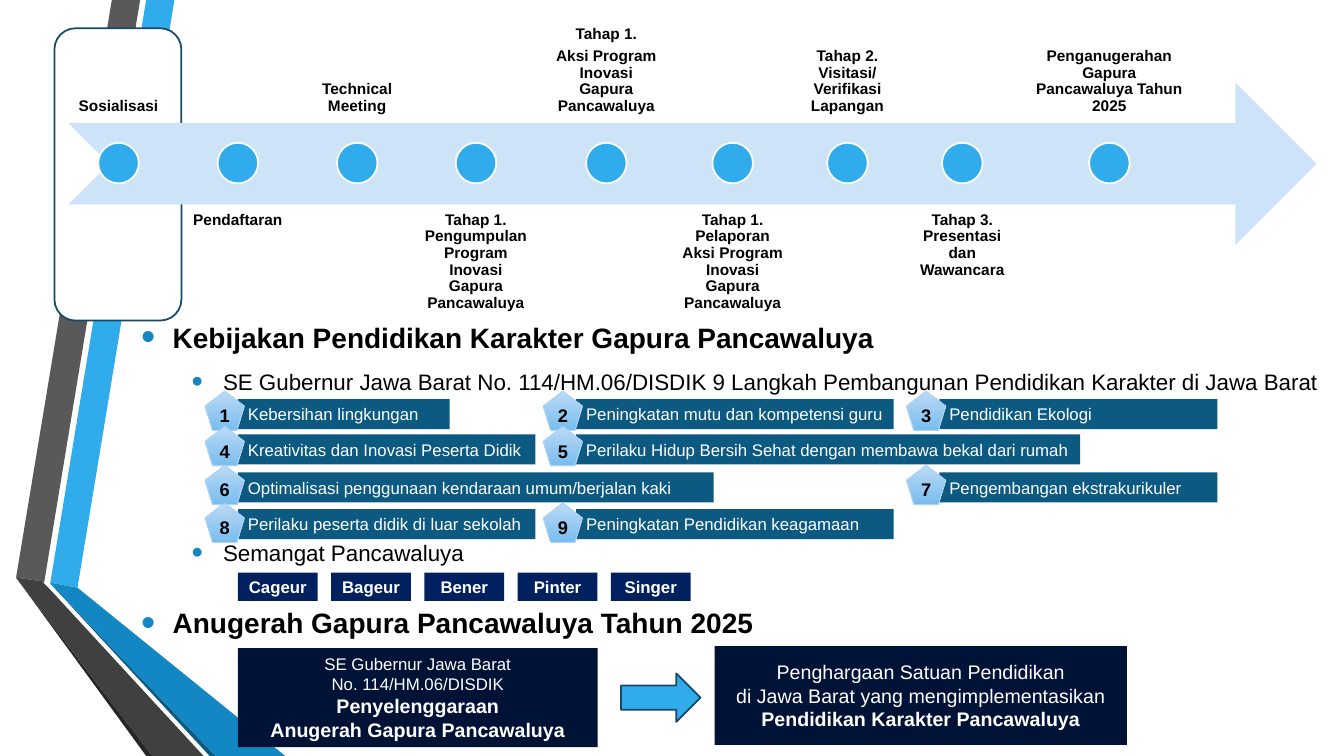
from lxml import etree
from pptx import Presentation
from pptx.dml.color import RGBColor
from pptx.enum import shapes, text
from pptx.oxml import ns
from pptx.util import Pt

FONT = "Arial"
WHITE = RGBColor(0xFF, 0xFF, 0xFF)
BLACK = RGBColor(0, 0, 0)
SKY = RGBColor(0x30, 0xAC, 0xEC)
BLUE = RGBColor(0x12, 0x87, 0xC3)
TEAL = RGBColor(0x0C, 0x5A, 0x82)
OUTLINE = RGBColor(0x15, 0x4B, 0x67)
PALE = RGBColor(0xCD, 0xE3, 0xF8)
NAVY = RGBColor(0x00, 0x20, 0x60)
MIDNIGHT = RGBColor(0x00, 0x12, 0x36)
BADGE_TOP = RGBColor(0xBC, 0xDA, 0xF6)
BADGE_BOTTOM = RGBColor(0x78, 0xBD, 0xEF)
BADGE_EDGE = RGBColor(0xAE, 0xD2, 0xF4)
GRAY = RGBColor(0x59, 0x59, 0x59)
DARK_GRAY = RGBColor(0x40, 0x40, 0x40)
CHARCOAL = RGBColor(0x26, 0x26, 0x26)

KIND = shapes.MSO_SHAPE
LEFT, CENTER = text.PP_ALIGN.LEFT, text.PP_ALIGN.CENTER
MIDDLE = text.MSO_ANCHOR.MIDDLE

RIBBONS = [
    (SKY, [(36, 416.2), (55.4, 419.8), (124.6, 0), (104.4, 0)]),
    (GRAY, [(100.1, 0), (79.9, 0), (11.5, 412.6), (31.7, 415.4)]),
    (CHARCOAL, [(11.5, 412.6), (104.4, 540), (108.7, 540)]),
    (TEAL, [(36, 416.9), (149.8, 540), (154.1, 540)]),
    (BLUE, [(36, 416.9), (154.1, 540), (203.8, 540), (55.4, 419.8), (36, 416.2)]),
    (DARK_GRAY, [(145.4, 540), (34.6, 419.8), (31, 416.2), (31.7, 415.4),
                 (11.5, 412.6), (108.7, 540)]),
]
# label width, label paragraphs
MILESTONES = [
    (71.3, ["Sosialisasi"]),
    (92.2, ["Pendaftaran"]),
    (71.3, ["Technical Meeting"]),
    (91.4, ["Tahap 1. Pengumpulan Program Inovasi Gapura Pancawaluya"]),
    (87.8, ["Tahap 1.", "Aksi Program Inovasi Gapura Pancawaluya"]),
    (85.7, ["Tahap 1. Pelaporan Aksi Program Inovasi Gapura Pancawaluya"]),
    (71.3, ["Tahap 2. Visitasi/ Verifikasi Lapangan"]),
    (85.7, ["Tahap 3. Presentasi dan Wawancara"]),
    (117.4, ["Penganugerahan Gapura Pancawaluya Tahun 2025"]),
]
# text, level, space before
POLICIES = [
    ("Kebijakan Pendidikan Karakter Gapura Pancawaluya", 0, 0),
    ("SE Gubernur Jawa Barat No. 114/HM.06/DISDIK 9 Langkah Pembangunan "
     "Pendidikan Karakter di Jawa Barat", 1, 10),
    ("Semangat Pancawaluya", 1, 103.4),
    ("Anugerah Gapura Pancawaluya Tahun 2025", 0, 28.4),
]
COLUMNS = [170, 411.5, 671]
ROWS = [(285.1, 279.4), (310.3, 304.6), (337.4, 332.4), (363.6, 359.3)]  # bar, badge
# column, row, bar width, text
STEPS = [
    (0, 0, 151.2, "Kebersihan lingkungan"),
    (1, 0, 226.8, "Peningkatan mutu dan kompetensi guru"),
    (2, 0, 198.7, "Pendidikan Ekologi"),
    (0, 1, 212.4, "Kreativitas dan Inovasi Peserta Didik"),
    (1, 1, 360, "Perilaku Hidup Bersih Sehat dengan membawa bekal dari rumah"),
    (0, 2, 339.8, "Optimalisasi penggunaan kendaraan umum/berjalan kaki"),
    (2, 2, 198.7, "Pengembangan ekstrakurikuler"),
    (0, 3, 212.4, "Perilaku peserta didik di luar sekolah"),
    (1, 3, 226.8, "Peningkatan Pendidikan keagamaan"),
]
VALUES = ["Cageur", "Bageur", "Bener", "Pinter", "Singer"]
# text, size, bold
DECREE = [
    ("SE Gubernur Jawa Barat", 12, False),
    ("No. 114/HM.06/DISDIK", 12, False),
    ("Penyelenggaraan", 14, True),
    ("Anugerah Gapura Pancawaluya", 14, True),
]
AWARD = [
    ("Penghargaan Satuan Pendidikan", 14, False),
    ("di Jawa Barat yang mengimplementasikan", 14, False),
    ("Pendidikan Karakter Pancawaluya", 14, True),
]


def style_paragraph(para, size, bold, color, align):
    para.alignment = align
    para.font.name, para.font.size = FONT, Pt(size)
    para.font.bold, para.font.color.rgb = bold, color


def paint(shape, fill, edge=None, width=1.25):
    shape.shadow.inherit = False
    shape.fill.solid()
    shape.fill.fore_color.rgb = fill
    if edge is None:
        shape.line.fill.background()
    else:
        shape.line.color.rgb, shape.line.width = edge, Pt(width)


def add_block(page, kind, area, fill, edge=None, width=1.25):
    shape = page.shapes.add_shape(kind, *map(Pt, area))
    paint(shape, fill, edge, width)
    return shape


def write_lines(shape, lines, color=WHITE, align=CENTER, insets=(0, 0, 0, 0), anchor=MIDDLE):
    """Fill a shape with one paragraph per (text, size, bold) line."""
    frame = shape.text_frame
    frame.word_wrap, frame.vertical_anchor = True, anchor
    (frame.margin_left, frame.margin_top,
     frame.margin_right, frame.margin_bottom) = map(Pt, insets)
    for index, (words, size, bold) in enumerate(lines):
        para = frame.add_paragraph() if index else frame.paragraphs[0]
        para.text = words
        style_paragraph(para, size, bold, color, align)
    return frame


def add_ribbon(page, color, points):
    (x, y), *rest = [(Pt(a), Pt(b)) for a, b in points]
    builder = page.shapes.build_freeform(x, y)
    builder.add_line_segments(rest)
    paint(builder.convert_to_shape(), color)


def add_timeline(page):
    add_block(page, KIND.NOTCHED_RIGHT_ARROW, (49, 59, 891.4, 116), PALE)
    left, gap, dot = 49, 3.5, 29
    for index, (width, labels) in enumerate(MILESTONES):
        above = index % 2 == 0
        area = (left, -28 if above else 145.4, width, 116)
        box = page.shapes.add_textbox(*map(Pt, area))
        anchor = text.MSO_ANCHOR.BOTTOM if above else text.MSO_ANCHOR.TOP
        frame = write_lines(box, [(label, 11, True) for label in labels], BLACK,
                            insets=(6, 6, 6, 6), anchor=anchor)
        for para in frame.paragraphs:
            para.line_spacing = 0.9
        for para in frame.paragraphs[1:]:
            para.space_before = Pt(4)
        add_block(page, KIND.OVAL, (left + (width - dot) / 2, 102, dot, dot), SKY, WHITE)
        left += width + gap


def add_bullet(para, margin):
    properties = para._p.get_or_add_pPr()
    properties.set("marL", str(Pt(margin)))
    properties.set("indent", str(Pt(-22.5)))
    color = etree.SubElement(properties, ns.qn("a:buClr"))
    etree.SubElement(color, ns.qn("a:srgbClr"), val=str(BLUE))
    etree.SubElement(properties, ns.qn("a:buSzPct"), val="145000")
    etree.SubElement(properties, ns.qn("a:buFont"), typeface=FONT)
    etree.SubElement(properties, ns.qn("a:buChar"), char="•")


def fill_policies(body):
    body.left, body.top, body.width, body.height = map(Pt, (93.6, 186.5, 878.4, 308.9))
    frame = body.text_frame
    frame.auto_size, frame.word_wrap = text.MSO_AUTO_SIZE.NONE, True
    frame.vertical_anchor, frame.margin_top = MIDDLE, Pt(7.2)
    for index, (words, level, space) in enumerate(POLICIES):
        para = frame.add_paragraph() if index else frame.paragraphs[0]
        para.text, para.level = words, level
        add_bullet(para, 22.5 + 36 * level)
        para.space_before, para.space_after = Pt(space), Pt(0)
        style_paragraph(para, 16 if level else 20, not level, BLACK, LEFT)


def add_badge(page, left, top, number):
    badge = add_block(page, KIND.REGULAR_PENTAGON, (left, top, 28.1, 28.1),
                      BADGE_TOP, BADGE_EDGE, 0.75)
    badge.fill.gradient()
    badge.fill.gradient_angle = 270
    for stop, color in zip(badge.fill.gradient_stops, (BADGE_TOP, BADGE_BOTTOM)):
        stop.color.rgb = color
    write_lines(badge, [(str(number), 13, True)], BLACK).word_wrap = False


def add_steps(page):
    for number, (column, row, width, words) in enumerate(STEPS, 1):
        left, (bar_top, badge_top) = COLUMNS[column], ROWS[row]
        bar = add_block(page, KIND.RECTANGLE, (left, bar_top, width, 21.5), TEAL)
        write_lines(bar, [(words, 12, False)], align=LEFT, insets=(7.2, 0, 0, 0))
        add_badge(page, left - 23.5, badge_top, number)


def main():
    deck = Presentation()
    deck.slide_width, deck.slide_height = Pt(960), Pt(540)
    page = deck.slides.add_slide(deck.slide_layouts[1])
    title = page.shapes.title.element
    title.getparent().remove(title)
    fill_policies(page.placeholders[1])
    for color, points in RIBBONS:
        add_ribbon(page, color, points)
    add_block(page, KIND.ROUNDED_RECTANGLE, (38.9, 20.2, 90.7, 208.8), WHITE, OUTLINE)
    add_timeline(page)
    add_steps(page)
    for index, value in enumerate(VALUES):
        chip = add_block(page, KIND.RECTANGLE, (170 + 66.6 * index, 409, 56.9, 20.2), NAVY)
        write_lines(chip, [(value, 12, True)])
    for area, lines in (((170, 463, 257, 70.6), DECREE), ((510.5, 461.5, 294.5, 70.6), AWARD)):
        write_lines(add_block(page, KIND.RECTANGLE, area, MIDNIGHT), lines)
    add_block(page, KIND.RIGHT_ARROW, (443.5, 481, 56.9, 34.6), SKY, OUTLINE)
    deck.save("out.pptx")


if __name__ == "__main__":
    main()
